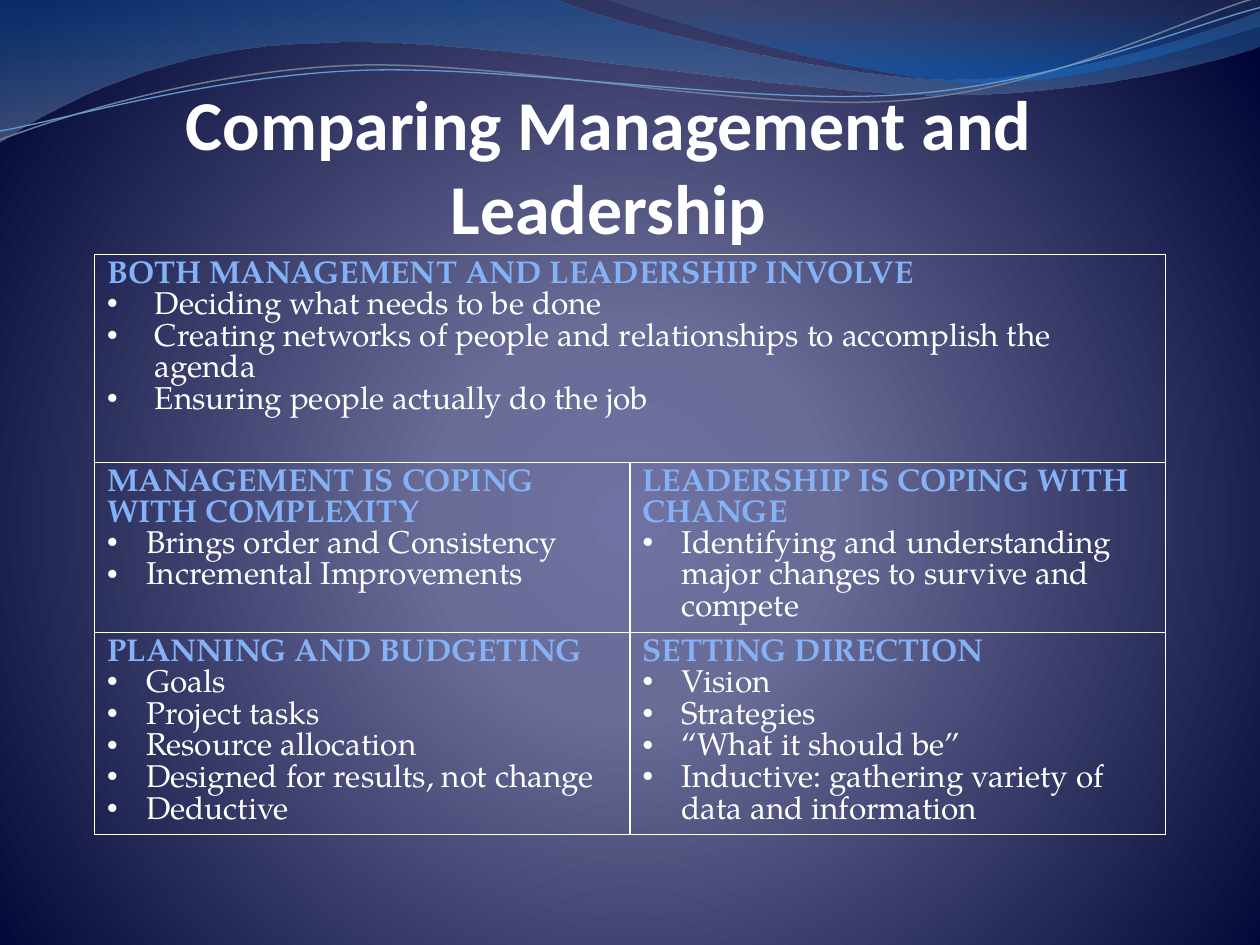
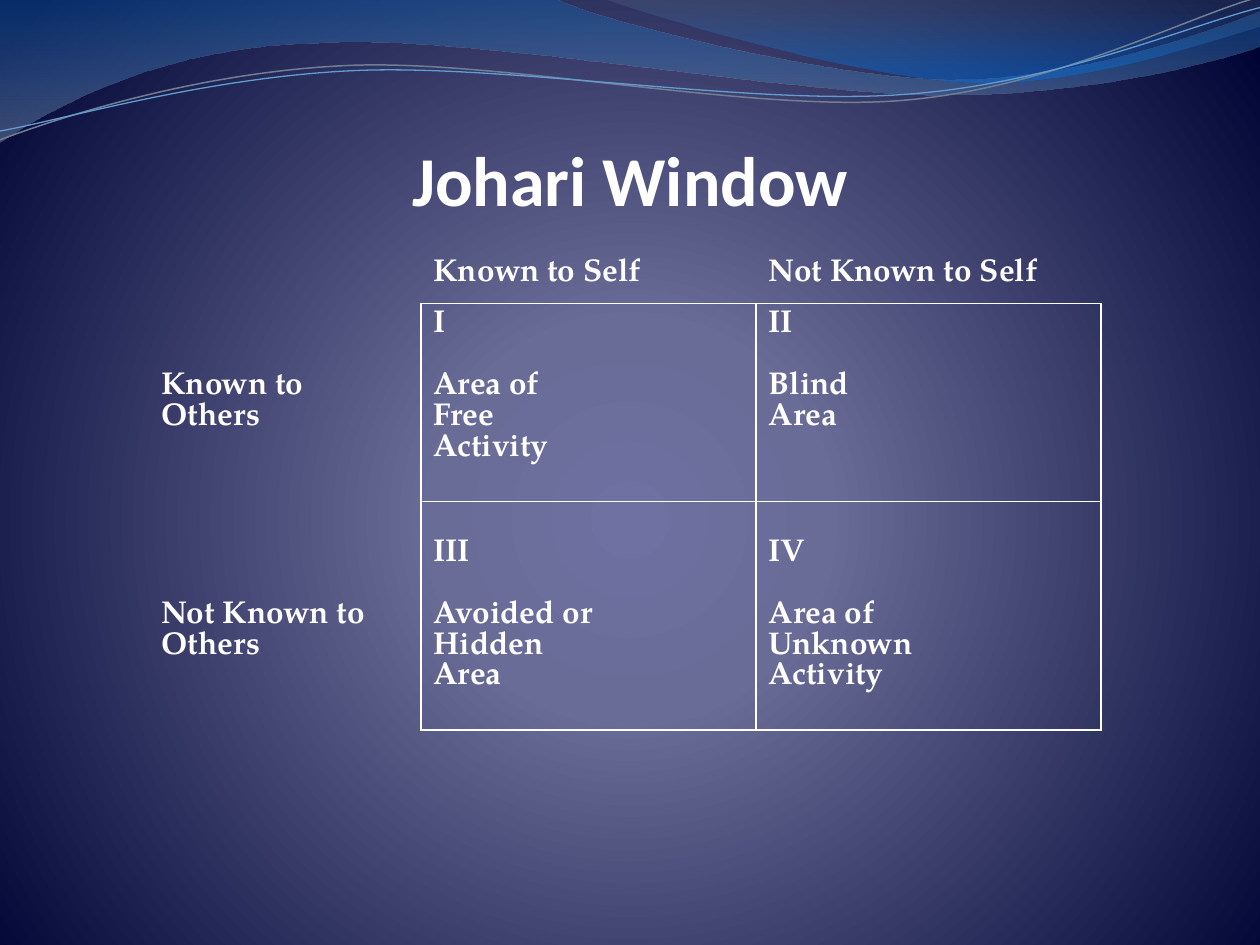
from dataclasses import dataclass

from pptx import Presentation
from pptx.dml.color import RGBColor
from pptx.enum.text import MSO_ANCHOR, MSO_AUTO_SIZE, PP_ALIGN
from pptx.oxml import parse_xml
from pptx.oxml.ns import nsdecls, qn
from pptx.util import Emu, Inches, Pt

BOTTOM = MSO_ANCHOR.BOTTOM
CENTER = PP_ALIGN.CENTER
NO_AUTOFIT = MSO_AUTO_SIZE.NONE

COLORS = {
    "text": "FFFFFF",
    "heading": "85B2F6",
    "border": "FFFFFF",
    "glow": "6E71A1",
    "haze": "696C96",
    "night": "000434",
    "wave_top": "125EAA",
    "wave_foot": "697FA4",
    "crest_top": "596982",
    "crest_foot": "0670DA",
    "grey_line": "707E95",
    "blue_line": "629DD1",
}
TITLE_FONT, BODY_FONT = "Calibri", "TeX Gyre Pagella"
TITLE_SIZE, BODY_SIZE = 40, 18
LINE_HEIGHT = 17.7  # points taken by one line of body text
CELL_MARGIN = 3.6
SLIDE_WIDTH, SLIDE_HEIGHT = Inches(10), Inches(7.5)
HUNDREDTH = 9144  # EMU in a hundredth of an inch, the unit of the wave points
TITLE_ONLY = 5


@dataclass(frozen=True)
class Stop:
    position: int
    color: str
    opacity: int = 100


@dataclass(frozen=True)
class Wave:
    """Segments hold one point for a straight line, three for a Bezier curve."""
    start: tuple
    segments: tuple
    stops: tuple = ()
    line_color: str = ""
    line_width: float = 0


@dataclass(frozen=True)
class Topic:
    heading: str
    points: tuple
    indent: float = 0.31


@dataclass(frozen=True)
class Pane:
    """Lines of a window cell; the gap follows the first line if has_gap."""
    lines: tuple
    lines_above: int = 0
    has_gap: bool = False


WAVES = (
    Wave((0, 0), (
        ((440, -1),),
        ((476, 17), (664, 63), (758, 63)),
        ((853, 63), (958, 26), (1000, 9)),
        ((1001, 36),),
        ((983, 44), (870, 76), (746, 75)),
        ((622, 75), (382, 28), (257, 34)),
        ((129, 36), (46, 83), (-1, 113)),
        ((0, 0),),
    ), stops=(Stop(0, "wave_top", 45), Stop(100, "wave_foot", 55))),
    Wave((479, -1), (
        ((509, 11), (682, 62), (769, 65)),
        ((856, 69), (961, 32), (1000, 21)),
        ((1000, 0),),
        ((479, -1),),
    ), stops=(Stop(0, "crest_top", 30), Stop(80, "crest_foot", 45))),
    Wave((0, 111), (
        ((48, 93), (158, 57), (277, 52)),
        ((395, 47), (593, 89), (713, 80)),
        ((833, 71), (938, 15), (998, -2)),
    ), line_color="grey_line", line_width=0.85),
    Wave((0, 104), (
        ((47, 96), (164, 61), (283, 56)),
        ((403, 51), (597, 84), (717, 75)),
        ((836, 67), (941, 21), (1000, 6)),
    ), line_color="blue_line", line_width=0.75),
)

SHARED_TASKS = Topic("BOTH MANAGEMENT AND LEADERSHIP INVOLVE", (
    "Deciding what needs to be done",
    "Creating networks of people and relationships to accomplish the agenda",
    "Ensuring people actually do the job",
), indent=0.38)

CONTRASTS = (
    (
        Topic("MANAGEMENT IS COPING WITH COMPLEXITY",
              ("Brings order and Consistency", "Incremental Improvements")),
        Topic("LEADERSHIP IS COPING WITH CHANGE",
              ("Identifying and understanding major changes to survive and compete",)),
    ),
    (
        Topic("PLANNING AND BUDGETING",
              ("Goals", "Project tasks", "Resource allocation",
               "Designed for results, not change", "Deductive")),
        Topic("SETTING DIRECTION",
              ("Vision", "Strategies", "“What it should be”",
               "Inductive: gathering variety of data and information")),
    ),
)

JOHARI_PANES = (
    (Pane(()), Pane(("Known to Self",)), Pane(("Not Known to Self",))),
    (
        Pane(("Known to Others",), 2),
        Pane(("I", "Area of", "Free", "Activity"), has_gap=True),
        Pane(("II", "Blind", "Area"), has_gap=True),
    ),
    (
        Pane(("Not Known to Others",), 3),
        Pane(("III", "Avoided or", "Hidden", "Area"), 1, True),
        Pane(("IV", "Area of", "Unknown", "Activity"), 1, True),
    ),
)


def across(percent: float) -> Emu:
    return Emu(round(SLIDE_WIDTH * percent / 100))


def down(percent: float) -> Emu:
    return Emu(round(SLIDE_HEIGHT * percent / 100))


def rgb(name: str) -> RGBColor:
    return RGBColor.from_string(COLORS[name])


def set_gradient(fill, owner, stops: tuple, direction: str) -> None:
    """Give the fill inside the owner element its stops and direction."""
    fill.gradient()
    gradient = next(owner.iter(qn("a:gradFill")))
    for child in list(gradient):
        gradient.remove(child)
    marks = "".join(
        f'<a:gs pos="{stop.position * 1000}"><a:srgbClr val="{COLORS[stop.color]}">'
        f'<a:alpha val="{stop.opacity * 1000}"/></a:srgbClr></a:gs>' for stop in stops)
    gradient.append(parse_xml(f'<a:gsLst {nsdecls("a")}>{marks}</a:gsLst>'))
    gradient.append(parse_xml(direction))


def draw_wave(slide, wave: Wave):
    builder = slide.shapes.build_freeform(*wave.start, scale=HUNDREDTH)
    points = [point for segment in wave.segments for point in segment]
    builder.add_line_segments(points, close=bool(wave.stops))
    shape = builder.convert_to_shape()
    straight_lines = iter(shape._element.xpath(".//a:lnTo"))
    for segment in wave.segments:
        lines = [next(straight_lines) for _ in segment]
        if len(lines) == 3:
            curve = parse_xml(f'<a:cubicBezTo {nsdecls("a")}/>')
            lines[0].addprevious(curve)
            for line in lines:
                curve.append(line[0])
                line.getparent().remove(line)
    shape.shadow.inherit = False
    if wave.stops:
        set_gradient(shape.fill, shape._element, wave.stops,
                     f'<a:lin {nsdecls("a")} ang="5400000" scaled="0"/>')
        shape.line.fill.background()
    else:
        shape.fill.background()
        shape.line.color.rgb = rgb(wave.line_color)
        shape.line.width = Pt(wave.line_width)
    return shape


def decorate_master(master, drawing_slide) -> None:
    """Set the backdrop and move the waves, drawn on a slide, to the master."""
    set_gradient(
        master.background.fill, master._element,
        (Stop(0, "glow"), Stop(25, "haze"), Stop(100, "night")),
        f'<a:path {nsdecls("a")} path="circle">'
        '<a:fillToRect l="10000" t="110000" r="10000" b="100000"/></a:path>')
    for order, wave in enumerate(WAVES):
        element = draw_wave(drawing_slide, wave)._element
        element.xpath(".//p:cNvPr")[0].set("id", str(100 + order))
        master.shapes._spTree.insert(2 + order, element)


def style_text(paragraph, font_name: str, size: float, color: str, bold: bool) -> None:
    for run in paragraph.runs:
        run.font.name = font_name
        run.font.size = Pt(size)
        run.font.color.rgb = rgb(color)
        run.font.bold = bold


def set_title(slide, text: str, left: float, top: float, width: float, height: float) -> None:
    title = slide.shapes.title
    title.left, title.top = across(left), down(top)
    title.width, title.height = across(width), down(height)
    frame = title.text_frame
    frame.text = text
    frame.word_wrap = True
    frame.auto_size = NO_AUTOFIT
    frame.vertical_anchor = BOTTOM
    frame.margin_left = frame.margin_right = frame.margin_top = frame.margin_bottom = 0
    frame.paragraphs[0].alignment = CENTER
    style_text(frame.paragraphs[0], TITLE_FONT, TITLE_SIZE, "text", True)


def add_grid(slide, left: float, top: float, widths: tuple, heights: tuple):
    table = slide.shapes.add_table(
        len(heights), len(widths), across(left), down(top),
        across(sum(widths)), down(sum(heights))).table
    table.first_row = table.horz_banding = False
    for column, width in zip(table.columns, widths):
        column.width = across(width)
    for row, height in zip(table.rows, heights):
        row.height = down(height)
    return table


def style_cell(cell, bordered_sides: str = "LRTB") -> None:
    cell.fill.background()
    properties = cell._tc.get_or_add_tcPr()
    for order, side in enumerate("LRTB"):
        paint = "<a:noFill/>"
        if side in bordered_sides:
            paint = f'<a:solidFill><a:srgbClr val="{COLORS["border"]}"/></a:solidFill>'
        properties.insert(order, parse_xml(
            f'<a:ln{side} {nsdecls("a")} w="12700">{paint}</a:ln{side}>'))


def write_lines(cell, lines: tuple) -> list:
    frame = cell.text_frame
    frame.text = "\n".join(lines)
    return list(frame.paragraphs)


def fill_topic(cell, topic: Topic) -> None:
    style_cell(cell)
    heading, *points = write_lines(cell, (topic.heading, *topic.points))
    style_text(heading, BODY_FONT, BODY_SIZE, "heading", True)
    for point in points:
        properties = point._p.get_or_add_pPr()
        properties.set("marL", str(Inches(topic.indent)))
        properties.set("indent", str(-Inches(topic.indent)))
        properties.append(parse_xml(f'<a:buChar {nsdecls("a")} char="•"/>'))
        style_text(point, BODY_FONT, BODY_SIZE, "text", False)


def fill_pane(cell, pane: Pane, bordered_sides: str) -> None:
    style_cell(cell, bordered_sides)
    cell.margin_top = Pt(CELL_MARGIN + pane.lines_above * LINE_HEIGHT)
    paragraphs = write_lines(cell, pane.lines)
    for paragraph in paragraphs:
        style_text(paragraph, BODY_FONT, BODY_SIZE, "text", True)
    if pane.has_gap:
        paragraphs[1].space_before = Pt(LINE_HEIGHT)


def build_comparison(slide) -> None:
    set_title(slide, "Comparing Management and Leadership", 5.8, 14.4, 85, 11.87)
    contrasts = add_grid(slide, 7.5, 48.93, (42.5, 42.5), (18, 21.33))
    for row, topics in enumerate(CONTRASTS):
        for column, topic in enumerate(topics):
            fill_topic(contrasts.cell(row, column), topic)
    shared = add_grid(slide, 7.5, 26.93, (85,), (22,))
    fill_topic(shared.cell(0, 0), SHARED_TASKS)


def build_johari_window(slide) -> None:
    set_title(slide, "Johari Window", 10, 14.13, 80, 9.2)
    window = add_grid(slide, 11.8, 26.67, (21.6, 26.6, 27.4), (5.47, 20.93, 24.2))
    for row, panes in enumerate(JOHARI_PANES):
        for column, pane in enumerate(panes):
            if row and column:
                sides = "LRTB"
            else:
                sides = "B" if column else "R" if row else ""
            fill_pane(window.cell(row, column), pane, sides)


def main() -> None:
    deck = Presentation()
    deck.slide_width, deck.slide_height = SLIDE_WIDTH, SLIDE_HEIGHT
    layout = deck.slide_layouts[TITLE_ONLY]
    comparison, johari = (deck.slides.add_slide(layout) for _ in range(2))
    decorate_master(deck.slide_master, comparison)
    build_comparison(comparison)
    build_johari_window(johari)
    deck.save("out.pptx")


if __name__ == "__main__":
    main()
